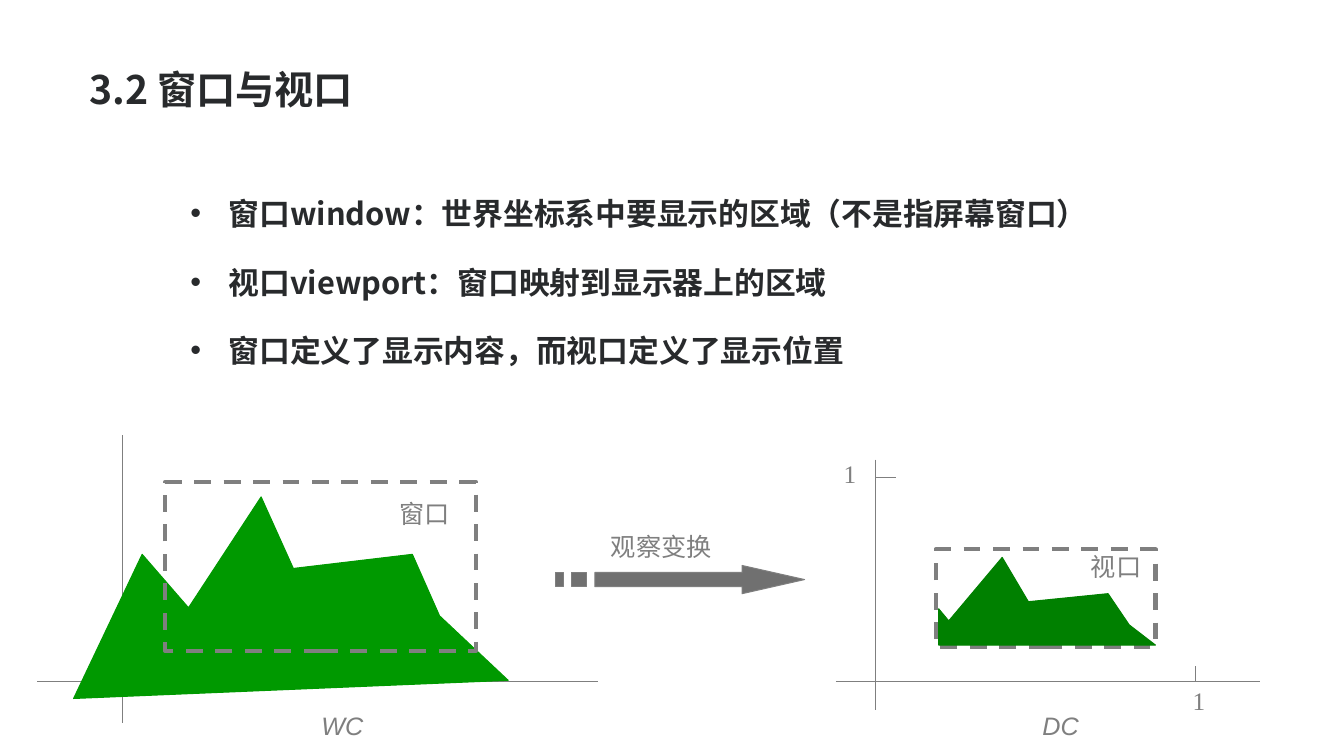
from pptx import Presentation
from pptx import util as u
from pptx.dml.color import RGBColor
from pptx.enum import dml, shapes, text
from pptx.oxml.ns import qn
from lxml import etree

INK = RGBColor(0x28, 0x2A, 0x2C)
GRAY = RGBColor(0x7F, 0x7F, 0x7F)
ARROW_GRAY = RGBColor(0x70, 0x70, 0x70)
WORLD_GREEN = RGBColor(0x00, 0x99, 0x00)
DEVICE_GREEN = RGBColor(0x00, 0x80, 0x00)
CJK = "Noto Sans CJK SC"

TITLE = "3.2 窗口与视口"
POINTS = [
    "窗口window：世界坐标系中要显示的区域（不是指屏幕窗口）",
    "视口viewport：窗口映射到显示器上的区域",
    "窗口定义了显示内容，而视口定义了显示位置",
]
BODY_BOX = (0.79, 0.6, 12.19, 5.7)

LABELS = [
    ("WC", 2.11, 7, 2.57, {"name": "Arial", "italic": True}),
    ("窗口", 3.67, 4.89, 1.08, {"name": "Arial"}),
    ("观察变换", 5.14, 5.22, 2.84, {"name": "Arial"}),
    ("DC", 9.22, 7, 2.6, {"name": "Arial", "italic": True}),
    ("视口", 10.53, 5.42, 1.08, {"name": "Arial"}),
    ("1", 8.14, 4.5, 0.58, {"name": "Times New Roman"}),
    ("1", 11.6, 6.75, 0.58, {"name": "Times New Roman"}),
]
LABEL_HEIGHT = 0.4

AXES = [
    (0.37, 6.76, 5.93, 6.76),
    (1.22, 4.32, 1.22, 7.17),
    (8.29, 6.76, 12.5, 6.76),
    (8.68, 4.56, 8.68, 7.04),
    (8.68, 4.74, 8.89, 4.74),
    (11.86, 6.61, 11.86, 6.77),
]
WINDOW = (1.64, 4.78, 3.08, 1.68)
VIEWPORT = (9.28, 5.45, 2.18, 0.97)
WORLD_HILLS = [(0.73, 6.93), (1.41, 5.5), (1.87, 6.03), (2.59, 4.93),
               (2.91, 5.64), (4.09, 5.5), (4.36, 6.11), (5.04, 6.75)]
DEVICE_HILLS = [(9.31, 6.4), (9.31, 6.04), (9.41, 6.16), (9.94, 5.53),
                (10.2, 5.97), (10.99, 5.89), (11.2, 6.2), (11.46, 6.4)]
ARROW_HEAD = [(7.36, 5.61), (7.36, 5.68), (5.9, 5.68), (5.9, 5.82),
              (7.36, 5.82), (7.36, 5.89), (7.98, 5.75)]
ARROW_TAILS = [[(left, 5.68), (left, 5.82), (right, 5.82), (right, 5.68)]
               for left, right in ((5.67, 5.82), (5.51, 5.59))]


def inches(values):
    return [u.Inches(value) for value in values]


def set_all(target, values):
    for name, value in values.items():
        setattr(target, name, value)


def write(paragraph, wording, color, font):
    run = paragraph.add_run()
    run.text = wording
    set_all(run.font, font)
    run.font.color.rgb = color
    east_asian = etree.SubElement(run.font._element, qn("a:ea"))
    east_asian.set("typeface", CJK)


def add_text_frame(slide, box):
    frame = slide.shapes.add_textbox(*inches(box)).text_frame
    set_all(frame, {"word_wrap": True, "vertical_anchor": text.MSO_ANCHOR.TOP})
    return frame


def add_body(slide):
    frame = add_text_frame(slide, BODY_BOX)
    set_all(frame, {f"margin_{side}": u.Inches(0.1)
                    for side in ("left", "top", "right", "bottom")})
    heading = frame.paragraphs[0]
    heading.line_spacing = 0.9
    write(heading, TITLE, INK, {"name": CJK, "size": u.Pt(28), "bold": True})
    for index, point in enumerate(POINTS):
        paragraph = frame.add_paragraph()
        set_all(paragraph, {"line_spacing": 1.4,
                            "space_before": u.Pt(12 if index else 48)})
        properties = paragraph._p.get_or_add_pPr()
        properties.set("marL", str(u.Inches(1.38)))
        properties.set("indent", str(u.Inches(-0.38)))
        bullet_font = etree.SubElement(properties, qn("a:buFont"))
        bullet_font.set("typeface", "Arial")
        etree.SubElement(properties, qn("a:buChar")).set("char", "•")
        write(paragraph, point, INK, {"name": CJK, "size": u.Pt(22), "bold": True})


def add_axis(slide, ends):
    axis = slide.shapes.add_connector(shapes.MSO_CONNECTOR.STRAIGHT, *inches(ends))
    axis.line.color.rgb = GRAY
    axis.line.width = u.Pt(0.75)
    etree.SubElement(axis._element.spPr, qn("a:effectLst"))


def add_outline(slide, contours, fill, edge):
    first, *others = [[inches(point) for point in contour] for contour in contours]
    builder = slide.shapes.build_freeform(*first[0])
    builder.add_line_segments(first[1:], close=True)
    for contour in others:
        builder.move_to(*contour[0])
        builder.add_line_segments(contour[1:], close=True)
    outline = builder.convert_to_shape()
    outline.shadow.inherit = False
    outline.fill.solid()
    outline.fill.fore_color.rgb = fill
    outline.line.color.rgb = edge
    outline.line.width = u.Pt(0.75)


def add_dashed_frame(slide, box):
    frame = slide.shapes.add_shape(shapes.MSO_SHAPE.RECTANGLE, *inches(box))
    frame.shadow.inherit = False
    frame.fill.background()
    frame.line.color.rgb = GRAY
    set_all(frame.line, {"width": u.Pt(3), "dash_style": dml.MSO_LINE.DASH})


def add_label(slide, wording, left, top, width, font):
    frame = add_text_frame(slide, (left, top, width, LABEL_HEIGHT))
    paragraph = frame.paragraphs[0]
    paragraph.alignment = text.PP_ALIGN.CENTER
    write(paragraph, wording, GRAY, {"size": u.Pt(18), **font})


def main():
    deck = Presentation()
    set_all(deck, {"slide_width": u.Inches(13.33), "slide_height": u.Inches(7.5)})
    slide = deck.slides.add_slide(deck.slide_layouts[6])
    add_body(slide)
    for ends in AXES:
        add_axis(slide, ends)
    add_outline(slide, [WORLD_HILLS], WORLD_GREEN, WORLD_GREEN)
    for box in (WINDOW, VIEWPORT):
        add_dashed_frame(slide, box)
    add_outline(slide, [ARROW_HEAD, *ARROW_TAILS], ARROW_GRAY, GRAY)
    for label in LABELS:
        add_label(slide, *label)
    add_outline(slide, [DEVICE_HILLS], DEVICE_GREEN, DEVICE_GREEN)
    deck.save("out.pptx")


if __name__ == "__main__":
    main()
